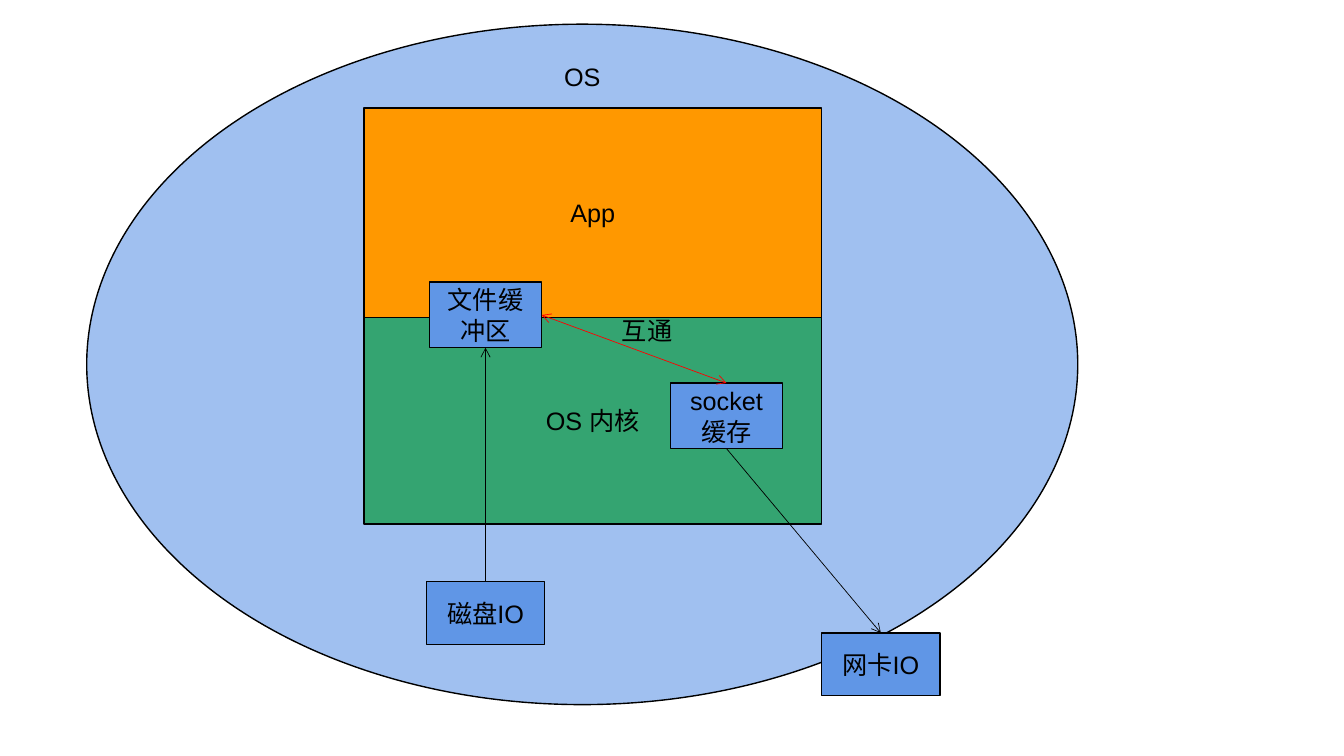
from dataclasses import dataclass

from lxml import etree
from pptx import Presentation
from pptx.dml.color import RGBColor
from pptx.enum.shapes import MSO_CONNECTOR, MSO_SHAPE
from pptx.enum.text import MSO_ANCHOR, PP_ALIGN
from pptx.oxml.ns import qn
from pptx.util import Inches, Pt

RECT, OVAL = MSO_SHAPE.RECTANGLE, MSO_SHAPE.OVAL
STRAIGHT = MSO_CONNECTOR.STRAIGHT
MIDDLE, CENTER = MSO_ANCHOR.MIDDLE, PP_ALIGN.CENTER
TOP, LEFT, BOTTOM, RIGHT = range(4)


@dataclass(frozen=True)
class Theme:
    font: str = "Arial"
    size: float = 18
    outline: float = 1
    arrow: float = 0.5
    ink: str = "000000"
    system: str = "A0C0F0"
    app: str = "FF9800"
    kernel: str = "34A471"
    node: str = "6096E6"
    link: str = "FF0000"


class Diagram:
    def __init__(self, prs, theme):
        self.prs = prs
        self.theme = theme
        self.slide = prs.slides.add_slide(prs.slide_layouts[6])

    def place(self, x, y, w, h):
        sw, sh = self.prs.slide_width, self.prs.slide_height
        return [round(share * full / 100)
                for share, full in ((x, sw), (y, sh), (w, sw), (h, sh))]

    def set_text(self, s, text):
        tf = s.text_frame
        tf.word_wrap = True
        tf.vertical_anchor = MIDDLE
        p = tf.paragraphs[0]
        p.text = text
        p.alignment = CENTER
        p.font.name = self.theme.font
        p.font.size = Pt(self.theme.size)
        p.font.color.rgb = RGBColor.from_string(self.theme.ink)

    def shape(self, kind, box, fill, text=""):
        s = self.slide.shapes.add_shape(kind, *self.place(*box))
        s.shadow.inherit = False
        s.fill.solid()
        s.fill.fore_color.rgb = RGBColor.from_string(fill)
        s.line.color.rgb = RGBColor.from_string(self.theme.ink)
        s.line.width = Pt(self.theme.outline)
        if text:
            self.set_text(s, text)
        return s

    def label(self, box, text):
        self.set_text(self.slide.shapes.add_textbox(*self.place(*box)), text)

    def arrow(self, start, start_site, end, end_site, color, ends=("tailEnd",)):
        s = self.slide.shapes.add_connector(STRAIGHT, 0, 0, 0, 0)
        s.begin_connect(start, start_site)
        s.end_connect(end, end_site)
        s.line.color.rgb = RGBColor.from_string(color)
        s.line.width = Pt(self.theme.arrow)
        ln = s._element.spPr.find(qn("a:ln"))
        for end_name in ends:
            etree.SubElement(ln, qn(f"a:{end_name}"), type="arrow")
        etree.SubElement(s._element.spPr, qn("a:effectLst"))


prs = Presentation()
prs.slide_width, prs.slide_height = Inches(13.33), Inches(7.5)
theme = Theme()
d = Diagram(prs, theme)

layer_x, layer_w, split_y = 27.08, 34.06, 42
io_size, buffer_size = (8.8, 8.3), (8.35, 8.67)

d.shape(OVAL, (6.45, 3.2, 73.74, 90), theme.system)
d.label((6.45, 7.5, 73.74, 5.33), "OS")
d.shape(RECT, (layer_x, 14.27, layer_w, split_y - 14.27), theme.app, "App")
d.shape(RECT, (layer_x, split_y, layer_w, 27.33), theme.kernel, "OS 内核")

disk = d.shape(RECT, (31.73, 76.93, *io_size), theme.node, "磁盘IO")
file_buffer = d.shape(RECT, (31.95, 37.33, *buffer_size), theme.node, "文件缓冲区")
network = d.shape(RECT, (layer_x + layer_w, 83.73, *io_size), theme.node, "网卡IO")
socket_buffer = d.shape(RECT, (49.88, 50.67, *buffer_size), theme.node, "socket缓存")

d.arrow(disk, TOP, file_buffer, BOTTOM, theme.ink)
d.arrow(socket_buffer, BOTTOM, network, TOP, theme.ink)
d.arrow(file_buffer, RIGHT, socket_buffer, TOP, theme.link, ("headEnd", "tailEnd"))
d.label((45.3, 41.07, 5.7, 5.33), "互通")

prs.save("out.pptx")
